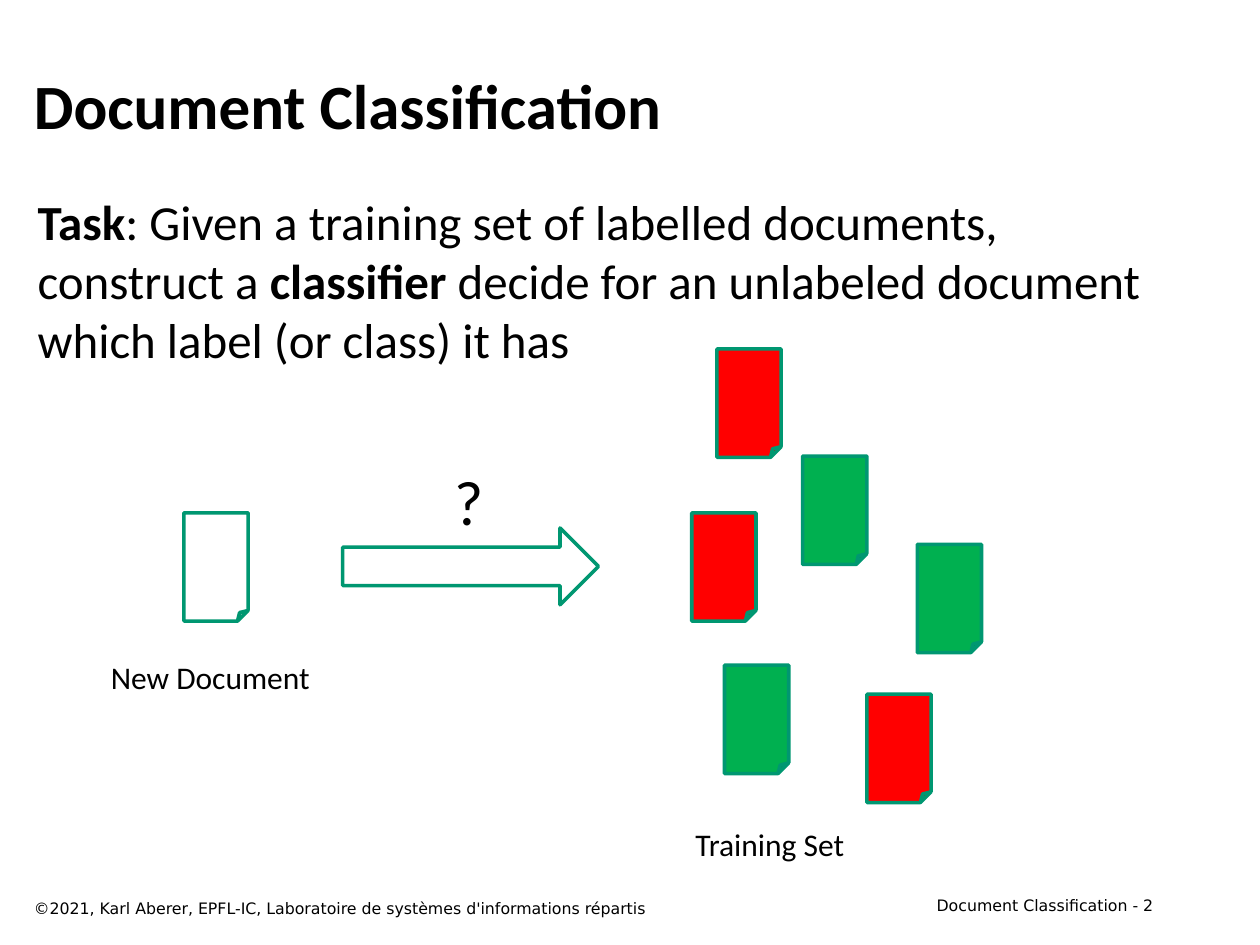
import pptx
import pptx.util
from pptx.dml.color import RGBColor
from pptx.enum.shapes import MSO_SHAPE
from pptx.enum.text import MSO_ANCHOR, PP_ALIGN
from pptx.util import Inches

COLORS = {"text": "000000", "line": "009771", "red": "FF0000", "green": "00B050", "blank": "FFFFFF"}
DOC_W, DOC_H = 0.51, 0.86
TRAINING_DOCS = [
    (1.47, 2.74, "red"), (0.34, 2.51, "green"), (0.28, 0, "red"),
    (0.08, 1.3, "red"), (0.96, 0.85, "green"), (1.87, 1.55, "green"),
]


def add_text(s, box, runs, size, font="Calibri", align=PP_ALIGN.LEFT, anchor=MSO_ANCHOR.TOP, wrap=True):
    tf = s.shapes.add_textbox(*map(Inches, box)).text_frame
    for name, value in {"word_wrap": wrap, "vertical_anchor": anchor}.items():
        setattr(tf, name, value)
    p = tf.paragraphs[0]
    p.alignment = align
    for text, bold in runs:
        r = p.add_run()
        r.text = text
        for name, value in {"name": font, "size": pptx.util.Pt(size), "bold": bold}.items():
            setattr(r.font, name, value)
        r.font.color.rgb = RGBColor.from_string(COLORS["text"])


def add_outlined(s, kind, box, fill):
    sp = s.shapes.add_shape(kind, *map(Inches, box))
    sp.shadow.inherit = False
    sp.fill.solid()
    sp.fill.fore_color.rgb = RGBColor.from_string(COLORS[fill])
    sp.line.color.rgb = RGBColor.from_string(COLORS["line"])
    sp.line.width = pptx.util.Pt(2)


def add_document(s, x, y, fill):
    add_outlined(s, MSO_SHAPE.FOLDED_CORNER, (x, y, DOC_W, DOC_H), fill)


def add_label(s, box, text, size=18):
    add_text(s, box, [(text, False)], size, align=PP_ALIGN.CENTER, wrap=False)


def add_heading(s, x, y, w):
    add_text(s, (x, y, w, 1), [("Document Classification", True)], 36, anchor=MSO_ANCHOR.MIDDLE)


def add_task(s, x, y, w, h):
    add_text(s, (x, y, w, h), [
        ("Task", True),
        (": Given a training set of labelled documents, construct a ", False),
        ("classifier", True),
        (" decide for an unlabeled document which label (or class) it has", False),
    ], 28)


def add_new_document(s, x, y):
    add_document(s, x + 0.69, y, "blank")
    add_label(s, (x, y + 1.1, 1.8, 0.4), "New Document")


def add_question(s, x, y):
    add_outlined(s, MSO_SHAPE.RIGHT_ARROW, (x, y + 0.57, 2.03, 0.61), "blank")
    add_label(s, (x + 0.78, y, 0.44, 0.71), "?", 36)


def add_training_set(s, x, y):
    for dx, dy, fill in TRAINING_DOCS:
        add_document(s, x + dx, y + dy, fill)
    add_label(s, (x, y + 3.73, 1.4, 0.4), "Training Set")


def add_footer(s, x, y, w):
    add_text(s, (x, y + 0.02, 6.42, 0.25),
             [("©2021, Karl Aberer, EPFL-IC, Laboratoire de systèmes d'informations répartis", False)],
             9, "DejaVu Sans")
    add_text(s, (x + w - 2.08, y, 2.08, 0.25), [("Document Classification - 2", False)],
             9, "DejaVu Sans", PP_ALIGN.RIGHT)


def main():
    prs = pptx.Presentation()
    prs.slide_width, prs.slide_height = Inches(10), Inches(7.5)
    s = prs.slides.add_slide(prs.slide_layouts[6])
    add_heading(s, 0.17, 0.33, 9.08)
    add_task(s, 0.2, 1.47, 9.08, 5.5)
    add_footer(s, 0.17, 7.06, 9.08)
    add_training_set(s, 5.41, 2.77)
    add_new_document(s, 0.77, 4.07)
    add_question(s, 2.72, 3.62)
    prs.save("out.pptx")


if __name__ == "__main__":
    main()
